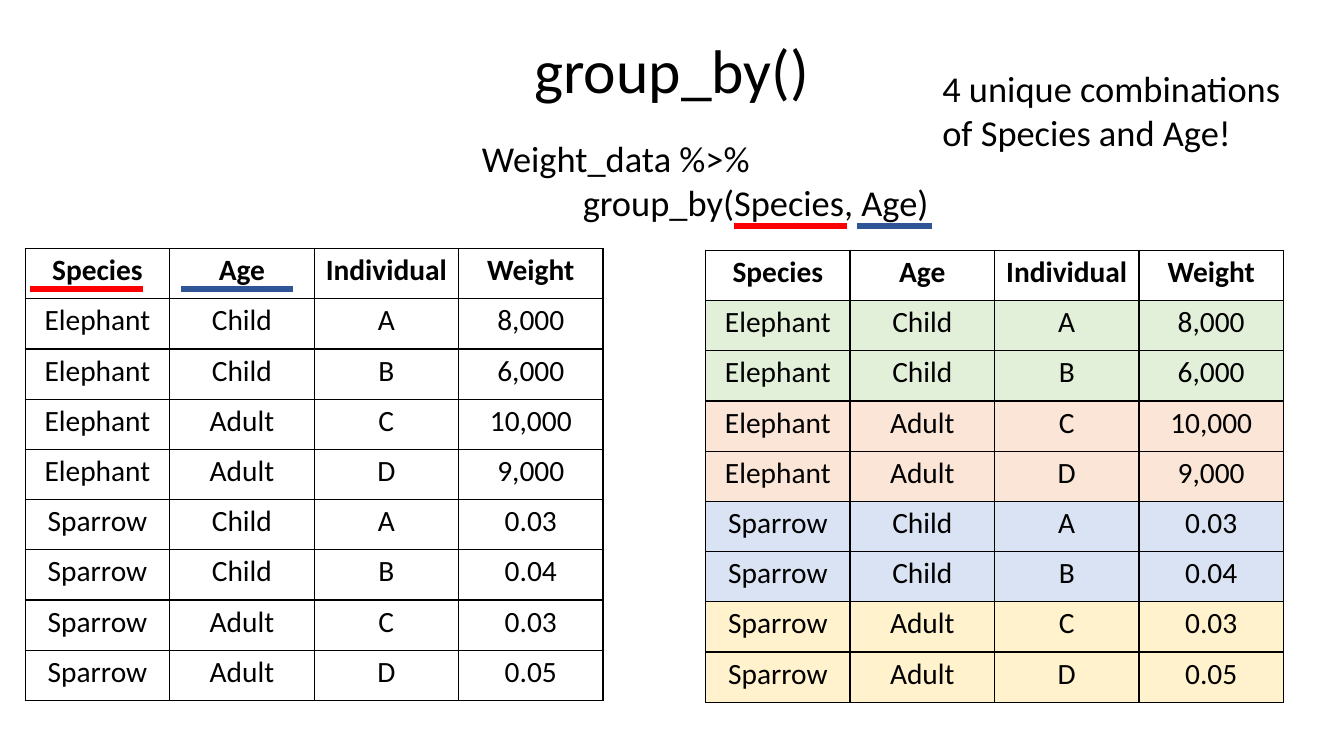
import dataclasses

import pptx
import pptx.dml.color
import pptx.enum.shapes
import pptx.enum.text
import pptx.oxml
import pptx.oxml.ns
import pptx.util

ALIGN = pptx.enum.text.PP_ALIGN
ANCHOR = pptx.enum.text.MSO_ANCHOR
FIT = pptx.enum.text.MSO_AUTO_SIZE
NS = pptx.oxml.ns.nsdecls("a")


@dataclasses.dataclass(frozen=True)
class Theme:
    font: str = "Calibri"
    title: int = 44
    body: int = 26
    cell: int = 21
    rule: float = 4.5
    border: int = 1
    ink: str = "000000"
    species: str = "FF0000"
    age: str = "2F5597"
    groups: tuple = ("E2F0D9", "FBE5D6", "DAE3F3", "FFF2CC")


def rgb(value):
    return pptx.dml.color.RGBColor.from_string(value)


def apply(obj, formats):
    for name, value in formats.items():
        setattr(obj, name, value)


class Deck:
    COLS, ROWS = 160, 90

    def __init__(self, theme):
        self.theme = theme
        self.prs = pptx.Presentation()
        apply(self.prs, {"slide_width": pptx.util.Inches(13.33),
                         "slide_height": pptx.util.Inches(7.5)})
        self.s = self.prs.slides.add_slide(self.prs.slide_layouts[5])

    def x(self, cols):
        return round(self.prs.slide_width * cols / self.COLS)

    def y(self, rows):
        return round(self.prs.slide_height * rows / self.ROWS)

    def box(self, left, top, width, height):
        return self.x(left), self.y(top), self.x(width), self.y(height)

    def add_text(self, p, text, size, bold=False):
        r = p.add_run()
        r.text = text
        apply(r.font, {"name": self.theme.font, "size": pptx.util.Pt(size), "bold": bold})
        r.font.color.rgb = rgb(self.theme.ink)

    def title(self, text, box):
        sp = self.s.shapes.title
        apply(sp, dict(zip(("left", "top", "width", "height"), self.box(*box))))
        apply(sp.text_frame, {"word_wrap": True, "auto_size": FIT.NONE,
                              "vertical_anchor": ANCHOR.MIDDLE})
        p = sp.text_frame.paragraphs[0]
        apply(p, {"alignment": ALIGN.CENTER, "line_spacing": 0.9})
        self.add_text(p, text, self.theme.title)

    def text(self, lines, box, indent=0):
        tf = self.s.shapes.add_textbox(*self.box(*box)).text_frame
        apply(tf, {"word_wrap": True, "auto_size": FIT.SHAPE_TO_FIT_TEXT})
        for i, line in enumerate(lines):
            p = tf.add_paragraph() if i else tf.paragraphs[0]
            if i and indent:
                p._p.get_or_add_pPr().set("marL", str(self.x(indent)))
            self.add_text(p, line, self.theme.body)

    def rule(self, left, top, width, color):
        x, y, w, _ = self.box(left, top, width, 0)
        ln = self.s.shapes.add_connector(
            pptx.enum.shapes.MSO_CONNECTOR.STRAIGHT, x, y, x + w, y)
        ln.line.color.rgb = rgb(color)
        ln.line.width = pptx.util.Pt(self.theme.rule)
        ln._element.spPr.append(pptx.oxml.parse_xml(f"<a:effectLst {NS}/>"))

    def borders(self, cell):
        tcPr = cell._tc.get_or_add_tcPr()
        width = pptx.util.Pt(self.theme.border)
        for i, side in enumerate("LRTB"):
            tcPr.insert(i, pptx.oxml.parse_xml(
                f'<a:ln{side} {NS} w="{width}"><a:solidFill>'
                f'<a:srgbClr val="{self.theme.ink}"/></a:solidFill></a:ln{side}>'))

    def table(self, records, box, fills):
        tb = self.s.shapes.add_table(len(records), len(records[0]), *self.box(*box)).table
        tb.horz_banding = False
        side, edge = pptx.util.Inches(0.07), pptx.util.Inches(0.04)
        for i, record in enumerate(records):
            for j, value in enumerate(record):
                cell = tb.cell(i, j)
                apply(cell, {"margin_left": side, "margin_right": side,
                             "margin_top": edge, "margin_bottom": edge})
                fill = fills.get(record[:2])
                if fill:
                    cell.fill.solid()
                    cell.fill.fore_color.rgb = rgb(fill)
                else:
                    cell.fill.background()
                self.borders(cell)
                p = cell.text_frame.paragraphs[0]
                p.alignment = ALIGN.CENTER
                self.add_text(p, value, self.theme.cell, bold=i == 0)


HEADER = ("Species", "Age", "Individual", "Weight")
WEIGHTS = {
    ("Elephant", "Child"): (("A", "8,000"), ("B", "6,000")),
    ("Elephant", "Adult"): (("C", "10,000"), ("D", "9,000")),
    ("Sparrow", "Child"): (("A", "0.03"), ("B", "0.04")),
    ("Sparrow", "Adult"): (("C", "0.03"), ("D", "0.05")),
}


def main():
    theme = Theme()
    deck = Deck(theme)
    records = [HEADER] + [group + row for group, rows in WEIGHTS.items() for row in rows]
    group_fills = dict(zip(WEIGHTS, theme.groups))
    table_size = (68.8, 53.8)

    deck.title("group_by()", (44.6, 0, 70.8, 17.4))
    deck.table(records, (3, 29.6, *table_size), {})
    deck.text(["Weight_data %>%", "group_by(Species, Age)"],
              (56.2, 15.6, 58.2, 11.8), indent=12)
    for left, top, width, color in (
            (87.4, 26.9, 13.4, theme.species), (3.6, 34.4, 13.4, theme.species),
            (102, 26.9, 9, theme.age), (21.5, 34.4, 13.4, theme.age)):
        deck.rule(left, top, width, color)
    deck.table(records, (84, 29.8, *table_size), group_fills)
    deck.text(["4 unique combinations of Species and Age!"], (111, 7.3, 47.2, 11.8))
    deck.prs.save("out.pptx")


if __name__ == "__main__":
    main()
